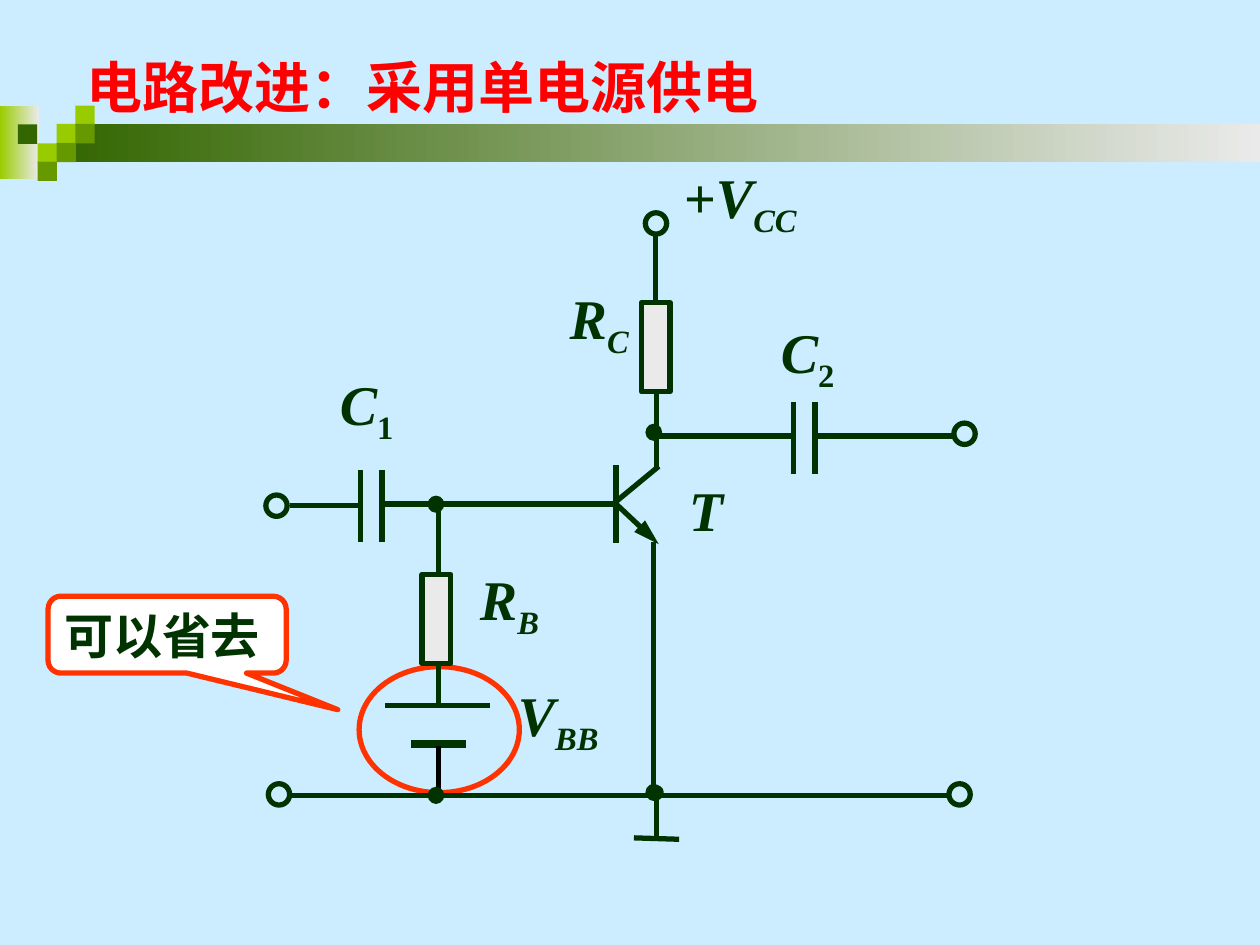
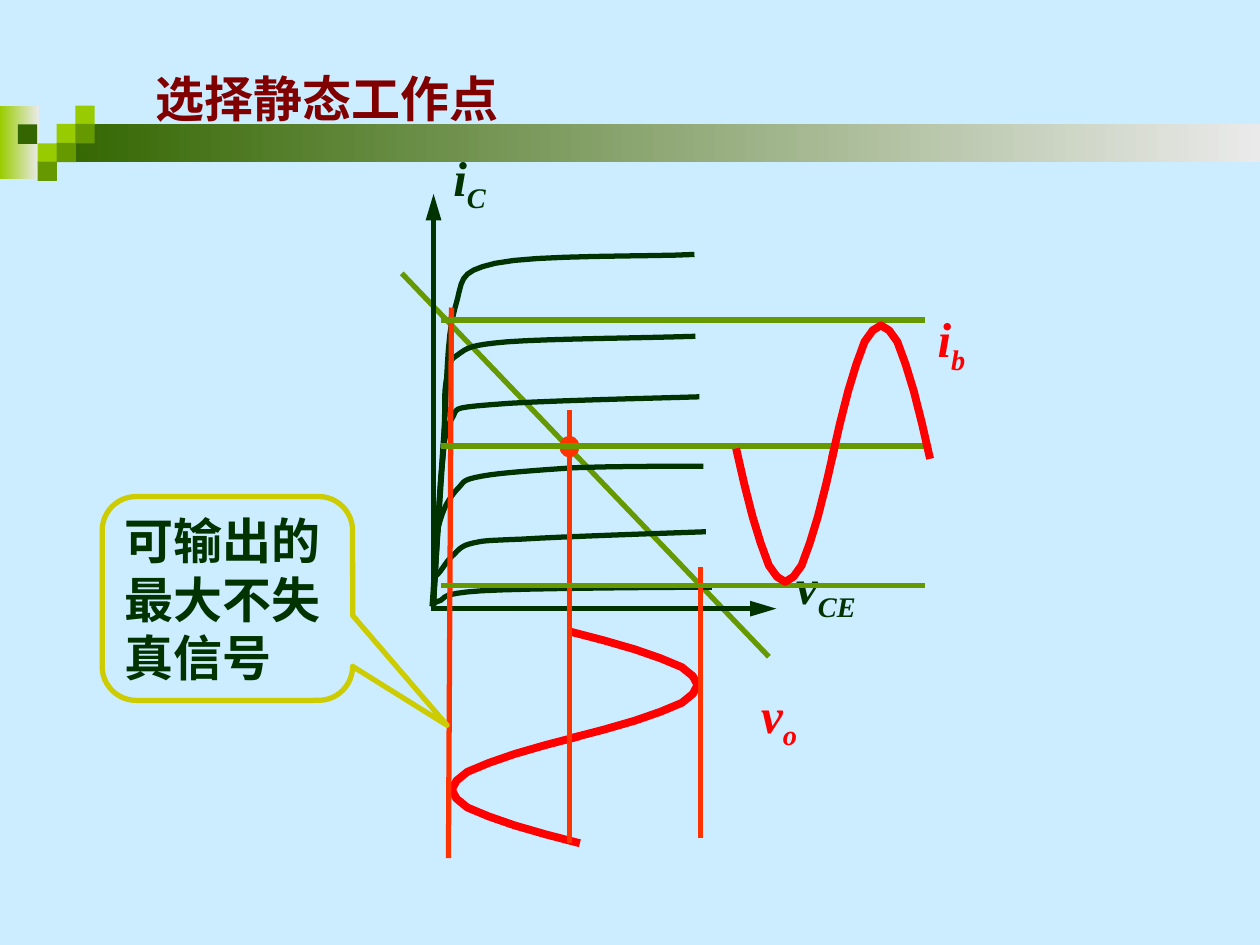
from lxml.etree import SubElement
from pptx import Presentation
from pptx.dml.color import RGBColor
from pptx.enum.shapes import MSO_CONNECTOR, MSO_SHAPE
from pptx.enum.text import MSO_ANCHOR, MSO_AUTO_SIZE, PP_ALIGN
from pptx.oxml.ns import qn
from pptx.util import Cm, Pt

SKY = "CCECFF"
INK = "003300"
PALE = "EAEAEA"
FOREST = "336600"
LEAF = "669900"
LIME = "99CC00"
RED = "FF0000"
ORANGE = "FF3300"
WHITE = "FFFFFF"
FONT = "Times New Roman"

HALF_SWELL = (0, 0.72, 1.37, 1.91, 2.36, 2.59, 2.69)
SWELL = HALF_SWELL + HALF_SWELL[-2::-1]

COLLECTOR_CURVES = (
    ((0, -0.05), (0, -0.05), (-0.05, -0.1), (0.1, -0.15),
     (0.28, -0.2), (0.05, -0.3), (0.97, -0.36),
     (1.88, -0.41), (4.65, -0.43), (5.61, -0.43)),
    ((0, -0.05), (0, -0.13), (0, -0.48), (0.03, -0.61),
     (0.05, -0.71), (0.05, -0.64), (0.1, -0.71),
     (0.18, -0.79), (0.28, -0.99), (0.41, -1.09),
     (0.51, -1.19), (0.56, -1.27), (0.79, -1.32),
     (1.02, -1.37), (0.99, -1.37), (1.78, -1.4),
     (2.54, -1.45), (4.7, -1.52), (5.49, -1.55)),
    ((-0.03, -0.05), (0, -0.3), (0.03, -1.27), (0.1, -1.65),
     (0.2, -2.06), (0.33, -2.24), (0.48, -2.41),
     (0.64, -2.57), (0.56, -2.59), (0.97, -2.67),
     (1.35, -2.74), (2.11, -2.79), (2.84, -2.84),
     (3.61, -2.87), (4.9, -2.87), (5.44, -2.87)),
    ((0, -0.15), (0.03, -0.58), (0.1, -2.08), (0.15, -2.69),
     (0.23, -3.3), (0.2, -3.56), (0.36, -3.81),
     (0.51, -4.04), (0.3, -4.04), (1.14, -4.11),
     (1.98, -4.19), (4.47, -4.24), (5.36, -4.27)),
    ((0, -0.15), (0.03, -0.66), (0.15, -2.49), (0.2, -3.23),
     (0.25, -3.96), (0.2, -4.24), (0.25, -4.55),
     (0.3, -4.88), (0.28, -4.98), (0.48, -5.11),
     (0.69, -5.26), (0.71, -5.31), (1.5, -5.38),
     (2.31, -5.44), (4.5, -5.46), (5.28, -5.49)),
    ((0, -0.05), (0.03, -0.61), (0.13, -2.41), (0.2, -3.4),
     (0.28, -4.42), (0.25, -5.44), (0.43, -6.05),
     (0.61, -6.63), (0.46, -6.78), (1.24, -6.96),
     (2.06, -7.14), (4.42, -7.09), (5.26, -7.14)),
)


def color(code):
    return RGBColor.from_string(code)


def add_span(para, text, size, code, italic=False, lowered=False):
    span = para.add_run()
    span.text = text
    font = span.font
    font.name, font.size, font.bold = FONT, Pt(size), True
    font.italic = italic
    font.color.rgb = color(code)
    if lowered:
        span._r.get_or_add_rPr().set("baseline", "-25000")


def bezier_points(points, steps=8):
    traced = [points[0]]
    for k in range(0, len(points) - 1, 3):
        a, b, c, d = points[k:k + 4]
        for step in range(1, steps + 1):
            t = step / steps
            u = 1 - t
            traced.append(tuple(
                u ** 3 * a[n] + 3 * u * u * t * b[n] + 3 * u * t * t * c[n] + t ** 3 * d[n]
                for n in (0, 1)))
    return traced


class Region:
    def __init__(self, page, left, top):
        self.shapes = page.shapes
        self.left, self.top = left, top

    def spot(self, x, y):
        return Cm(self.left + x), Cm(self.top + y)

    def line(self, start, end, code=INK, width=3, arrow=False):
        wire = self.shapes.add_connector(
            MSO_CONNECTOR.STRAIGHT, *self.spot(*start), *self.spot(*end))
        wire.line.color.rgb = color(code)
        wire.line.width = Pt(width)
        outline = wire.element.spPr
        if arrow:
            SubElement(outline.find(qn("a:ln")), qn("a:tailEnd"),
                       type="triangle", w="med", len="lg")
        SubElement(outline, qn("a:effectLst"))

    def style(self, shape, fill, line, width):
        shape.shadow.inherit = False
        if fill is None:
            shape.fill.background()
        elif isinstance(fill, tuple):
            shape.fill.gradient()
            shape.fill.gradient_angle = 0
            for stop, code in zip(shape.fill.gradient_stops, fill):
                stop.color.rgb = color(code)
        else:
            shape.fill.solid()
            shape.fill.fore_color.rgb = color(fill)
        if line is None:
            shape.line.fill.background()
        else:
            shape.line.color.rgb = color(line)
            shape.line.width = Pt(width)

    def shape(self, kind, x, y, width, height, fill=None, line=None, weight=3):
        shape = self.shapes.add_shape(kind, *self.spot(x, y), Cm(width), Cm(height))
        self.style(shape, fill, line, weight)
        return shape

    def curve(self, points, code, width):
        spots = [self.spot(*point) for point in points]
        builder = self.shapes.build_freeform(*spots[0])
        builder.add_line_segments(spots[1:], close=False)
        self.style(builder.convert_to_shape(), None, code, width)

    def symbol(self, x, y, width, height, letter, index="", size=32, code=INK,
               sign="", upright=False, align=PP_ALIGN.CENTER, wrap=False):
        box = self.shapes.add_textbox(*self.spot(x, y), Cm(width), Cm(height))
        frame = box.text_frame
        frame.word_wrap = wrap
        frame.vertical_anchor = MSO_ANCHOR.MIDDLE
        para = frame.paragraphs[0]
        para.alignment = align
        if sign:
            add_span(para, sign, size, code)
        add_span(para, letter, size, code, italic=True)
        if index:
            add_span(para, index, size, code, italic=not upright, lowered=True)

    def callout(self, x, y, width, height, text, pointer, line, fill=None, wrap=True):
        shape = self.shape(MSO_SHAPE.ROUNDED_RECTANGULAR_CALLOUT,
                           x, y, width, height, fill, line)
        for n, value in enumerate(pointer):
            shape.adjustments[n] = value
        frame = shape.text_frame
        frame.word_wrap = wrap
        frame.vertical_anchor = MSO_ANCHOR.MIDDLE
        para = frame.paragraphs[0]
        para.alignment = PP_ALIGN.LEFT
        add_span(para, text, 28, INK)


def add_band(page, left, top):
    band = Region(page, left, top)
    block = MSO_SHAPE.RECTANGLE
    band.shape(block, 0, 0, 0.79, 1.48, (LIME, PALE))
    band.shape(block, 1.14, 0.37, 24.26, 0.76, (FOREST, PALE))
    for x, y, code in ((1.14, 0.37, LIME), (1.52, 0, LIME), (1.52, 0.37, LEAF),
                       (0.76, 0.76, LIME), (0.36, 0.38, FOREST),
                       (1.14, 0.75, LEAF), (0.76, 1.13, LEAF)):
        band.shape(block, x, y, 0.39, 0.39, code)


def add_page(deck, text, size, code, box):
    page = deck.slides.add_slide(deck.slide_layouts[5])
    add_band(page, 0, 2.13)
    title = page.shapes.title
    title.left, title.top, title.width, title.height = (Cm(side) for side in box)
    frame = title.text_frame
    frame.auto_size = MSO_AUTO_SIZE.NONE
    frame.word_wrap = True
    frame.vertical_anchor = MSO_ANCHOR.MIDDLE
    para = frame.paragraphs[0]
    para.alignment = PP_ALIGN.LEFT
    add_span(para, text, size, code)
    title.element.getparent().append(title.element)
    return page


def draw_circuit(page, left, top):
    circuit = Region(page, left, top)
    circuit.callout(-4.39, 8.87, 4.8, 1.55, "可以省去", (0.717, 0.976, 0.167),
                    ORANGE, WHITE, wrap=False)
    circuit.shape(MSO_SHAPE.OVAL, 1.88, 10.29, 3.23, 2.54, None, ORANGE)

    wires = (
        ((3.48, 11.1), (3.48, 6.99)),
        ((7.85, 2.92), (7.85, 1.57)),
        ((7.87, 3.73), (7.87, 6.3)),
        ((4.52, 11.07), (2.41, 11.07)),
        ((2.31, 7.01), (7.11, 7.01)),
        ((7.06, 6.22), (7.06, 7.8)),
        ((7.06, 6.96), (7.92, 6.25)),
        ((7.82, 7.77), (7.82, 12.85)),
        ((0.48, 12.88), (13.79, 12.88)),
        ((0.48, 7.04), (1.88, 7.04)),
        ((7.82, 5.64), (10.62, 5.64)),
        ((11.05, 5.64), (13.89, 5.64)),
        ((7.87, 12.88), (7.87, 13.79)),
        ((7.42, 13.74), (8.33, 13.77)),
    )
    for start, end in wires:
        circuit.line(start, end)
    for x, y in ((1.9, 6.32), (2.34, 6.32), (10.64, 4.95), (11.07, 4.95)):
        circuit.line((x, y), (x, y + 1.45))
    circuit.line((4.04, 11.84), (2.92, 11.84), width=4.5)
    circuit.line((7.06, 7.01), (7.92, 7.82), arrow=True)
    circuit.line((3.48, 11.89), (3.48, 12.83), "000000")

    for x, y in ((7.57, 2.95), (3.15, 8.43)):
        circuit.shape(MSO_SHAPE.RECTANGLE, x, y, 0.58, 1.8, PALE, INK)
    for x, y in ((7.65, 1.14), (0, 6.83), (0.05, 12.65), (13.87, 5.38), (13.77, 12.65)):
        circuit.shape(MSO_SHAPE.OVAL, x, y, 0.43, 0.43, None, INK)
    for x, y in ((7.67, 5.41), (3.28, 6.86), (3.28, 12.73), (7.67, 12.67)):
        circuit.shape(MSO_SHAPE.OVAL, x, y, 0.3, 0.31, INK, INK, 1)
    circuit.shape(MSO_SHAPE.OVAL, 7.77, 12.73, 0.2, 0.2, INK, INK)

    circuit.symbol(4.06, 8.1, 1.7, 1.8, "R", "B")
    circuit.symbol(5.87, 2.44, 1.7, 1.8, "R", "C")
    circuit.symbol(8.18, 0, 2.77, 1.8, "V", "CC", sign="+", align=PP_ALIGN.LEFT)
    circuit.symbol(4.83, 10.44, 2.13, 1.8, "V", "BB", align=PP_ALIGN.LEFT)
    circuit.symbol(0.93, 4.17, 2.2, 1.8, "C", "1", upright=True)
    circuit.symbol(9.82, 3.12, 2.2, 1.8, "C", "2", upright=True)
    circuit.symbol(8.28, 6.3, 1.19, 1.63, "T")


def draw_characteristics(page, left, top):
    plot = Region(page, left, top)

    def voltage_half(x, y, scale):
        plot.curve([(x + scale * rise, y + 0.18 * n)
                    for n, rise in enumerate(SWELL)], RED, 4.5)

    def current_half(x, y, scale):
        plot.curve([(x + 0.165 * n, y + scale * rise)
                    for n, rise in enumerate(SWELL)], RED, 4.5)

    voltage_half(2.95, 2.57, -0.96)
    voltage_half(2.74, 0.46, 0.96)

    plot.line((-0.64, -6.76), (6.76, 0.97), LEAF)
    plot.symbol(0.15, -9.42, 5.08, 1.6, "i", "C", 28, align=PP_ALIGN.LEFT, wrap=True)
    plot.symbol(7.06, -1.19, 1.7, 1.6, "v", "CE", 28)
    plot.line((-0.05, 0), (6.91, 0), arrow=True)
    plot.line((0, 0), (0, -8.36), arrow=True)
    for points in COLLECTOR_CURVES:
        plot.curve(bezier_points(points), INK, 3)
    plot.shape(MSO_SHAPE.OVAL, 2.59, -3.43, 0.3, 0.33, ORANGE, ORANGE)

    for start, end in (((2.74, -4.01), (2.74, 4.72)),
                       ((0.36, -6.07), (0.3, 5.03)),
                       ((5.38, -0.84), (5.38, 4.62))):
        plot.line(start, end, ORANGE)
    plot.symbol(5.77, 1.4, 2.39, 1.6, "v", "o", 28, RED, wrap=True)
    plot.callout(-6.68, -2.26, 5.05, 4.11, "可输出的最大不失真信号",
                 (0.877, 0.622, 0.167), "CCCC00")

    for y in (-5.82, -0.46, -3.28):
        plot.line((0.15, y), (9.91, y), LEAF)
    plot.symbol(9.91, -6.17, 1.35, 1.6, "i", "b", 28, RED, align=PP_ALIGN.LEFT, wrap=True)
    current_half(8.03, -3.02, -1)
    current_half(6.1, -3.23, 1)


def main():
    deck = Presentation()
    deck.slide_width, deck.slide_height = Cm(25.4), Cm(19.05)
    backdrop = deck.slide_master.background.fill
    backdrop.solid()
    backdrop.fore_color.rgb = color(SKY)

    page = add_page(deck, "电路改进：采用单电源供电", 32, RED, (1.48, 0.93, 15.57, 1.63))
    draw_circuit(page, 5.36, 3.15)
    page = add_page(deck, "选择静态工作点", 28, "800000", (2.88, 1.24, 10.41, 1.45))
    draw_characteristics(page, 8.74, 12.27)
    deck.save("out.pptx")


if __name__ == "__main__":
    main()
